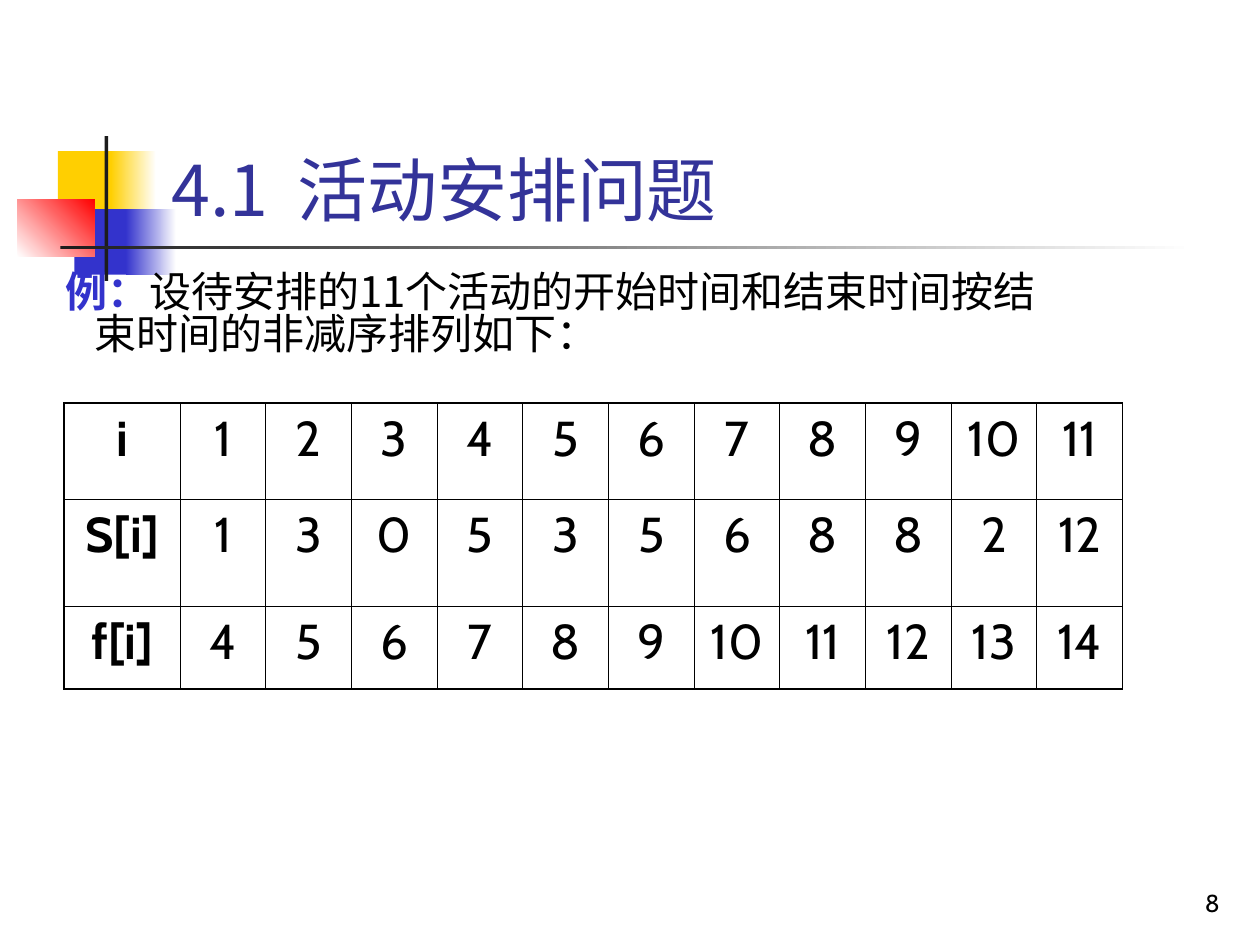
from lxml.etree import SubElement as Sub
from pptx import Presentation as Deck
from pptx.dml.color import RGBColor as Rgb
from pptx.enum.shapes import MSO_SHAPE as Kind
from pptx.enum.text import MSO_ANCHOR as Anchor, PP_ALIGN as Align
from pptx.oxml.ns import qn
from pptx.util import Inches, Pt

HUES = {
    "gold": "FFCF01", "blue": "3333CC", "red": "FF0000", "ink": "1C1C1C",
    "white": "FFFFFF", "title": "333399", "black": "000000",
}
HAN, LATIN = "Noto Sans CJK SC", "Cabin"
THIN, THICK = 0.45, 1.08
ROWS = [
    ["i", *range(1, 12)],
    ["S[i]", 1, 3, 0, 5, 3, 5, 6, 8, 8, 2, 12],
    ["f[i]", *range(4, 15)],
]
COLS = [0.92] + [0.68] * 11
HIGHS = [0.76, 0.85, 0.66]
BLOCKS = [
    ((0.46, 1.2, 0.48, 0.52), ["gold"], 0),
    ((0.88, 1.2, 0.36, 0.52), ["gold", "white"], 0),
    ((0.59, 1.66, 0.46, 0.52), ["blue"], 0),
    ((1, 1.66, 0.4, 0.52), ["blue", "white"], 0),
    ((0.14, 1.58, 0.61, 0.46), ["white", "red"], 45),
    ((0.83, 1.08, 0.03, 1.15), ["ink"], 0),
    ((0.48, 1.95, 9, 0.03), ["ink", "white"], 0),
]


def hue(name):
    return Rgb.from_string(HUES[name])


def place(shape, box):
    shape.left, shape.top, shape.width, shape.height = map(Inches, box)


def style(run, face, size, tint="black", bold=False):
    font = run.font
    font.name, font.size, font.bold = face, Pt(size), bold
    font.color.rgb = hue(tint)
    Sub(run._r.get_or_add_rPr(), qn("a:ea"), typeface=face)


def block(slide, box, tints, angle):
    shape = slide.shapes.add_shape(Kind.RECTANGLE, *map(Inches, box))
    shape.shadow.inherit = False
    shape.line.fill.background()
    if len(tints) == 1:
        shape.fill.solid()
        shape.fill.fore_color.rgb = hue(tints[0])
        return
    shape.fill.gradient()
    shape.fill.gradient_angle = angle
    for stop, tint in zip(shape.fill.gradient_stops, tints):
        stop.color.rgb = hue(tint)


def head(slide):
    title = slide.shapes.title
    place(title, (1.26, 0.23, 8.52, 1.6))
    frame = title.text_frame
    frame.text = "4.1\t活动安排问题"
    frame.vertical_anchor = Anchor.BOTTOM
    frame.margin_bottom = 0
    para = frame.paragraphs[0]
    para.alignment = Align.LEFT
    tabs = Sub(para._p.get_or_add_pPr(), qn("a:tabLst"))
    Sub(tabs, qn("a:tab"), pos=str(Inches(1)), algn="l")
    style(para.runs[0], HAN, 40, "title")
    slide.shapes._spTree.append(title._element)


def intro(slide):
    frame = slide.shapes.add_textbox(*map(Inches, (0.27, 2.1, 8.27, 1.19))).text_frame
    frame.word_wrap = True
    frame.margin_top = Inches(0.08)
    para = frame.paragraphs[0]
    para.line_spacing = 0.82
    props = para._p.get_or_add_pPr()
    props.set("marL", str(Inches(0.38)))
    props.set("indent", str(Inches(-0.23)))
    parts = [
        ("例：", "blue", True),
        ("设待安排的11个活动的开始时间和结束时间按结束时间的非减序排列如下：", "black", False),
    ]
    for text, tint, bold in parts:
        run = para.add_run()
        run.text = text
        style(run, HAN, 24, tint, bold)


def edge(cell, side, width):
    line = Sub(cell._tc.get_or_add_tcPr(), qn("a:" + side), w=str(Pt(width)))
    Sub(Sub(line, qn("a:solidFill")), qn("a:srgbClr"), val=HUES["black"])


def fill(cell, text, first, sides):
    cell.text = str(text)
    para = cell.text_frame.paragraphs[0]
    para.alignment = Align.CENTER
    style(para.runs[0], LATIN, 28, bold=first)
    for side, outer in sides.items():
        edge(cell, side, THICK if outer else THIN)
    cell.fill.background()


def grid(slide):
    box = map(Inches, (0.51, 3.2, sum(COLS), sum(HIGHS)))
    table = slide.shapes.add_table(len(ROWS), len(COLS), *box).table
    table.first_row = table.horz_banding = False
    for col, width in zip(table.columns, COLS):
        col.width = Inches(width)
    for r, row in enumerate(ROWS):
        table.rows[r].height = Inches(HIGHS[r])
        for c, text in enumerate(row):
            sides = {
                "lnL": c == 0, "lnR": c == len(COLS) - 1,
                "lnT": r == 0, "lnB": r == len(ROWS) - 1,
            }
            fill(table.cell(r, c), text, c == 0, sides)


def folio(slide):
    frame = slide.shapes.add_textbox(*map(Inches, (7.7, 6.83, 2.08, 0.5))).text_frame
    frame.word_wrap = True
    frame.vertical_anchor = Anchor.BOTTOM
    frame.text = "8"
    para = frame.paragraphs[0]
    para.alignment = Align.RIGHT
    style(para.runs[0], LATIN, 14)


def main():
    deck = Deck()
    deck.slide_width, deck.slide_height = Inches(10), Inches(7.5)
    slide = deck.slides.add_slide(deck.slide_layouts[5])
    for item in BLOCKS:
        block(slide, *item)
    folio(slide)
    head(slide)
    intro(slide)
    grid(slide)
    deck.save("out.pptx")


if __name__ == "__main__":
    main()
